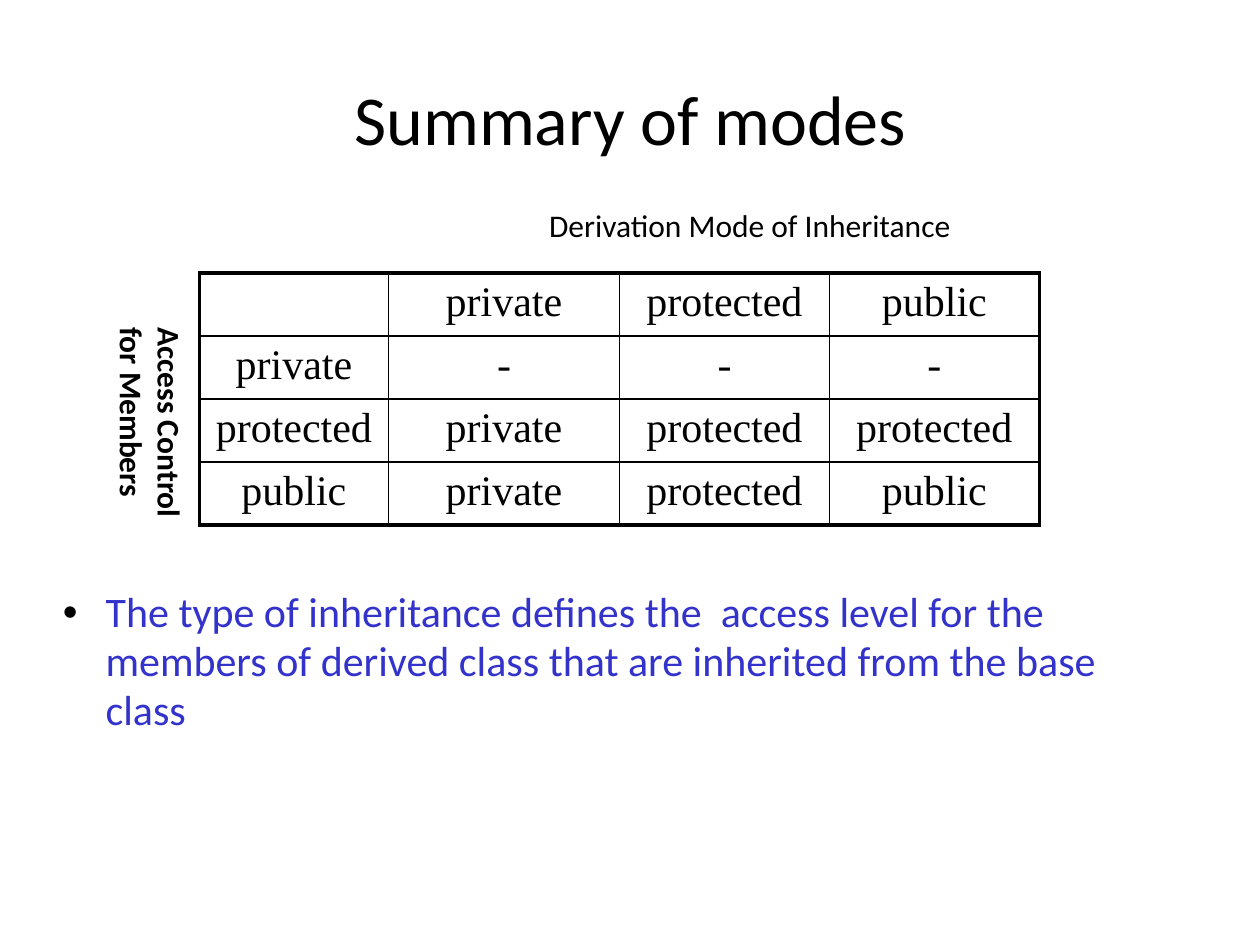
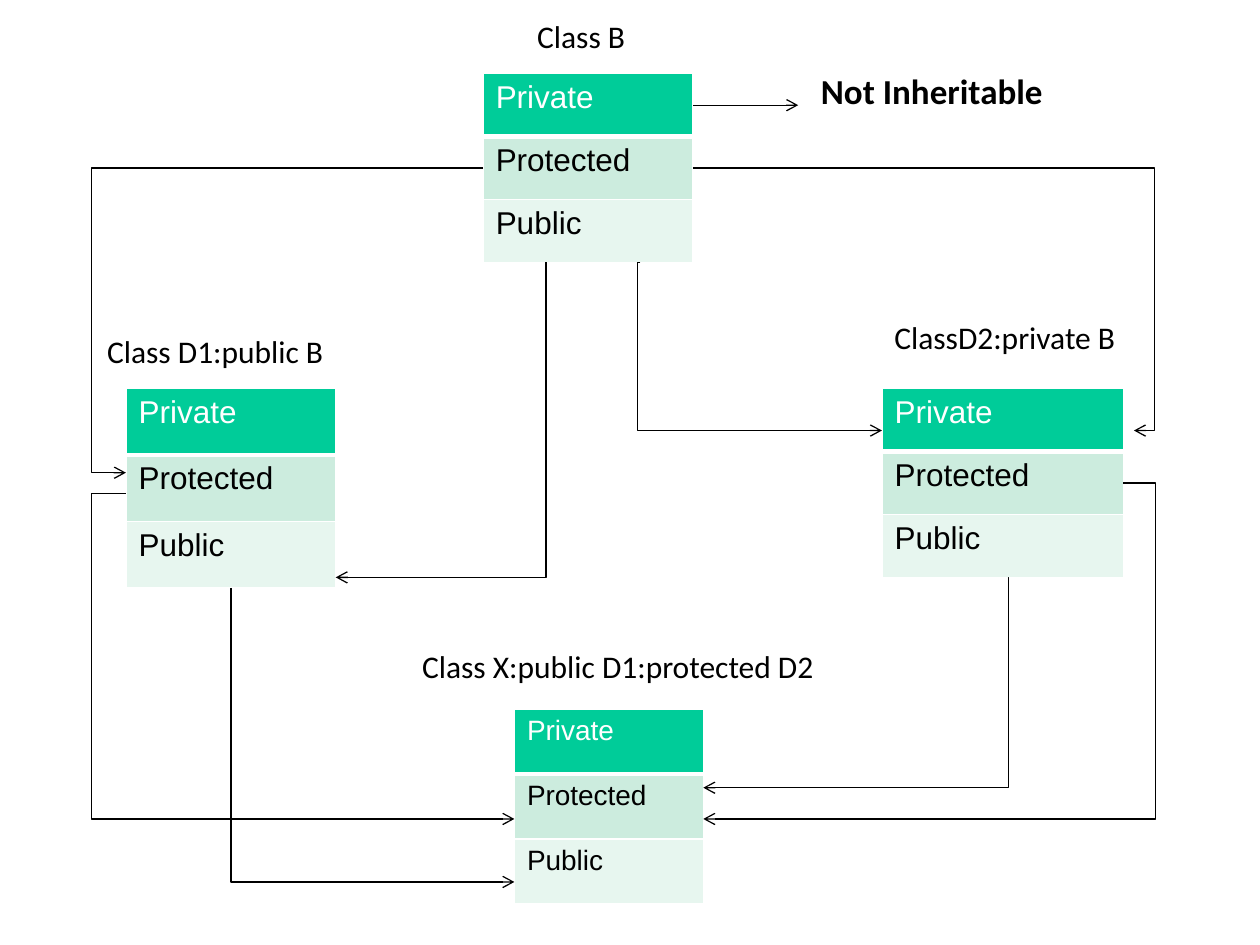
from dataclasses import dataclass
from typing import Callable

from lxml import etree
from pptx import Presentation
from pptx import util as u
from pptx.dml.color import RGBColor
from pptx.enum import shapes, text
from pptx.oxml.ns import qn

Cm, Pt = u.Cm, u.Pt

COLOURS = {
    "ink": "000000",
    "paper": "FFFFFF",
    "statement": "3333CC",
    "private": "00CC99",
    "protected": "CCECDE",
    "public": "E7F6EF",
}
BODY_FONT, GRID_FONT, MEMBER_FONT = "Calibri", "Times New Roman", "Arial"
TITLE_ONLY, BLANK = 5, 6
LINE_SPACING = 0.97


@dataclass
class Label:
    lines: list[str]
    left: float
    top: float
    width: float
    height: float
    size: float = 18
    bold: bool = False
    wrap: bool = True
    vertical: bool = False


@dataclass
class ClassTable:
    left: float
    top: float
    width: float
    row_height: float
    size: float = 18


@dataclass
class Route:
    """Elbow arrow whose vertical stretch runs at bend_x."""
    start: tuple[float, float]
    bend_x: float
    end: tuple[float, float]


# Slide 1 content
MODES = [
    ["", "private", "protected", "public"],
    ["private", "-", "-", "-"],
    ["protected", "private", "protected", "protected"],
    ["public", "private", "protected", "public"],
]
MODE_WIDTHS = [3.81, 4.66, 4.23, 4.23]
STATEMENT = ("The type of inheritance defines the  access level for the members of "
             "derived class that are inherited from the base class")
MODE_LABELS = [
    Label(["Derivation Mode of Inheritance"], 10.82, 4.02, 8.96, 1.02, wrap=False),
    Label(["Access Control", "for Members"], 1.91, 6.35, 2.03, 4.32,
          bold=True, wrap=False, vertical=True),
]

# Slide 2 content
MEMBERS = ["Private", "Protected", "Public"]
CLASS_TABLES = [
    ClassTable(9.74, 1.48, 4.23, 1.27),
    ClassTable(2.54, 7.83, 4.23, 1.34),
    ClassTable(17.78, 7.83, 4.87, 1.27),
    ClassTable(10.37, 14.29, 3.81, 1.31, size=16),
]
CLASS_LABELS = [
    Label(["ClassD2:private B"], 17.78, 6.28, 5.5, 1.02),
    Label(["Class D1:public B"], 1.91, 6.56, 5.29, 1.02),
    Label(["Class X:public D1:protected D2"], 8.26, 12.91, 8.47, 1.02),
    Label(["Class B"], 10.58, 0.21, 3.81, 1.02),
    Label(["Not Inheritable"], 16.3, 1.27, 5.5, 1.11, size=20, bold=True),
]
ROUTES = [
    Route((13.97, 3.39), 23.27, (22.86, 8.68)),   # B protected to D2
    Route((12.91, 5.29), 12.85, (17.78, 8.68)),   # B public to D2
    Route((9.74, 3.39), 1.85, (2.54, 9.53)),      # B protected to D1
    Route((11.01, 5.29), 11.01, (6.77, 11.64)),   # B public to D1
    Route((2.54, 9.95), 1.85, (10.37, 16.51)),    # D1 protected to X
    Route((4.66, 11.85), 4.66, (10.37, 17.78)),   # D1 public to X
    Route((22.65, 9.74), 23.29, (14.18, 16.51)),  # D2 protected to X
    Route((20.32, 11.64), 20.34, (14.18, 15.88)), # D2 public to X
]


# Shared helpers
def colour(name: str) -> RGBColor:
    return RGBColor.from_string(COLOURS[name])


def add_span(para, words: str, size: float, font: str = BODY_FONT,
             ink: str = "ink", bold: bool = False) -> None:
    span = para.add_run()
    span.text = words
    span.font.size = Pt(size)
    span.font.name = font
    span.font.bold = bold
    span.font.color.rgb = colour(ink)


def add_label(page, label: Label) -> None:
    box = page.shapes.add_textbox(Cm(label.left), Cm(label.top),
                                  Cm(label.width), Cm(label.height))
    frame = box.text_frame
    frame.word_wrap = label.wrap
    frame.auto_size = text.MSO_AUTO_SIZE.SHAPE_TO_FIT_TEXT
    if label.vertical:
        box.element.txBody.find(qn("a:bodyPr")).set("vert", "eaVert")
    for index, words in enumerate(label.lines):
        para = frame.add_paragraph() if index else frame.paragraphs[0]
        add_span(para, words, label.size, bold=label.bold)


def set_borders(cell, ink: str, widths: dict[str, float]) -> None:
    properties = cell._tc.get_or_add_tcPr()
    for side in "LRTB":
        line = etree.SubElement(properties, qn(f"a:ln{side}"), w=str(int(Pt(widths[side]))))
        fill = etree.SubElement(line, qn("a:solidFill"))
        etree.SubElement(fill, qn("a:srgbClr"), val=COLOURS[ink])


def add_grid(page, left: float, top: float, widths: list[float], row_height: float,
             rows: list[list[str]], draw_cell: Callable) -> None:
    frame = page.shapes.add_table(len(rows), len(widths), Cm(left), Cm(top),
                                  Cm(sum(widths)), Cm(row_height * len(rows)))
    grid = frame.table
    grid.first_row = grid.horz_banding = False
    for column, width in zip(grid.columns, widths):
        column.width = Cm(width)
    for r, row in enumerate(rows):
        grid.rows[r].height = Cm(row_height)
        for c, words in enumerate(row):
            draw_cell(grid.cell(r, c), r, c, words)


def draw_mode_cell(cell, r: int, c: int, words: str) -> None:
    last_row, last_column = len(MODES) - 1, len(MODE_WIDTHS) - 1
    outer = {"L": c == 0, "R": c == last_column, "T": r == 0, "B": r == last_row}
    set_borders(cell, "ink", {side: 2.25 if edge else 1 for side, edge in outer.items()})
    cell.fill.background()
    para = cell.text_frame.paragraphs[0]
    para.alignment = text.PP_ALIGN.CENTER
    if words:
        add_span(para, words, 24, GRID_FONT)


def add_class_table(page, item: ClassTable) -> None:
    def draw_member(cell, r: int, c: int, words: str) -> None:
        header = r == 0
        set_borders(cell, "paper", {"L": 1, "R": 1, "T": 1, "B": 3 if header else 1})
        cell.fill.solid()
        cell.fill.fore_color.rgb = colour(words.lower())
        add_span(cell.text_frame.paragraphs[0], words, item.size, MEMBER_FONT,
                 "paper" if header else "ink")

    add_grid(page, item.left, item.top, [item.width], item.row_height,
             [[member] for member in MEMBERS], draw_member)


def add_arrow(page, kind, start: tuple[float, float], end: tuple[float, float]):
    arrow = page.shapes.add_connector(kind, *map(Cm, start + end))
    arrow.line.color.rgb = colour("ink")
    arrow.line.width = Pt(0.75)
    properties = arrow.element.spPr
    etree.SubElement(properties.find(qn("a:ln")), qn("a:tailEnd"), type="arrow")
    etree.SubElement(properties, qn("a:effectLst"))
    return arrow


def add_route(page, route: Route) -> None:
    arrow = add_arrow(page, shapes.MSO_CONNECTOR.ELBOW, route.start, route.end)
    share = (route.bend_x - route.start[0]) / (route.end[0] - route.start[0])
    guides = arrow.element.spPr.find(qn("a:prstGeom")).get_or_add_avLst()
    etree.SubElement(guides, qn("a:gd"), name="adj1", fmla=f"val {round(share * 100000)}")


# Slides
def build_modes(deck) -> None:
    page = deck.slides.add_slide(deck.slide_layouts[TITLE_ONLY])
    title = page.shapes.title
    title.left, title.top, title.width, title.height = map(Cm, (1.91, 1.06, 21.59, 2.75))
    heading = title.text_frame.paragraphs[0]
    heading.alignment = text.PP_ALIGN.CENTER
    heading.line_spacing = LINE_SPACING
    add_span(heading, "Summary of modes", 40)

    # Bulleted statement
    box = page.shapes.add_textbox(Cm(1.27), Cm(11.43), Cm(22.23), Cm(6.99))
    frame = box.text_frame
    frame.word_wrap = True
    frame.margin_left = frame.margin_right = frame.margin_bottom = 0
    frame.margin_top = Cm(0.43)
    para = frame.paragraphs[0]
    para.line_spacing = LINE_SPACING
    para.space_after = Pt(12.9)
    add_span(para, STATEMENT, 24, ink="statement")
    properties = para._p.get_or_add_pPr()
    properties.set("marL", str(int(Cm(0.86))))
    properties.set("indent", str(int(Cm(-0.86))))
    bullet_colour = etree.SubElement(properties, qn("a:buClr"))
    etree.SubElement(bullet_colour, qn("a:srgbClr"), val=COLOURS["ink"])
    etree.SubElement(properties, qn("a:buFont"), typeface="Arial")
    etree.SubElement(properties, qn("a:buChar"), char="•")

    add_grid(page, 4.02, 5.5, MODE_WIDTHS, 1.27, MODES, draw_mode_cell)
    for label in MODE_LABELS:
        add_label(page, label)


def build_hierarchy(deck) -> None:
    page = deck.slides.add_slide(deck.slide_layouts[BLANK])
    for item in CLASS_TABLES:
        add_class_table(page, item)
    add_arrow(page, shapes.MSO_CONNECTOR.STRAIGHT, (13.97, 2.12), (16.09, 2.12))
    for route in ROUTES:
        add_route(page, route)
    for label in CLASS_LABELS:
        add_label(page, label)


def main() -> None:
    deck = Presentation()
    deck.slide_width, deck.slide_height = Cm(25.4), Cm(19.05)
    build_modes(deck)
    build_hierarchy(deck)
    deck.save("out.pptx")


if __name__ == "__main__":
    main()
